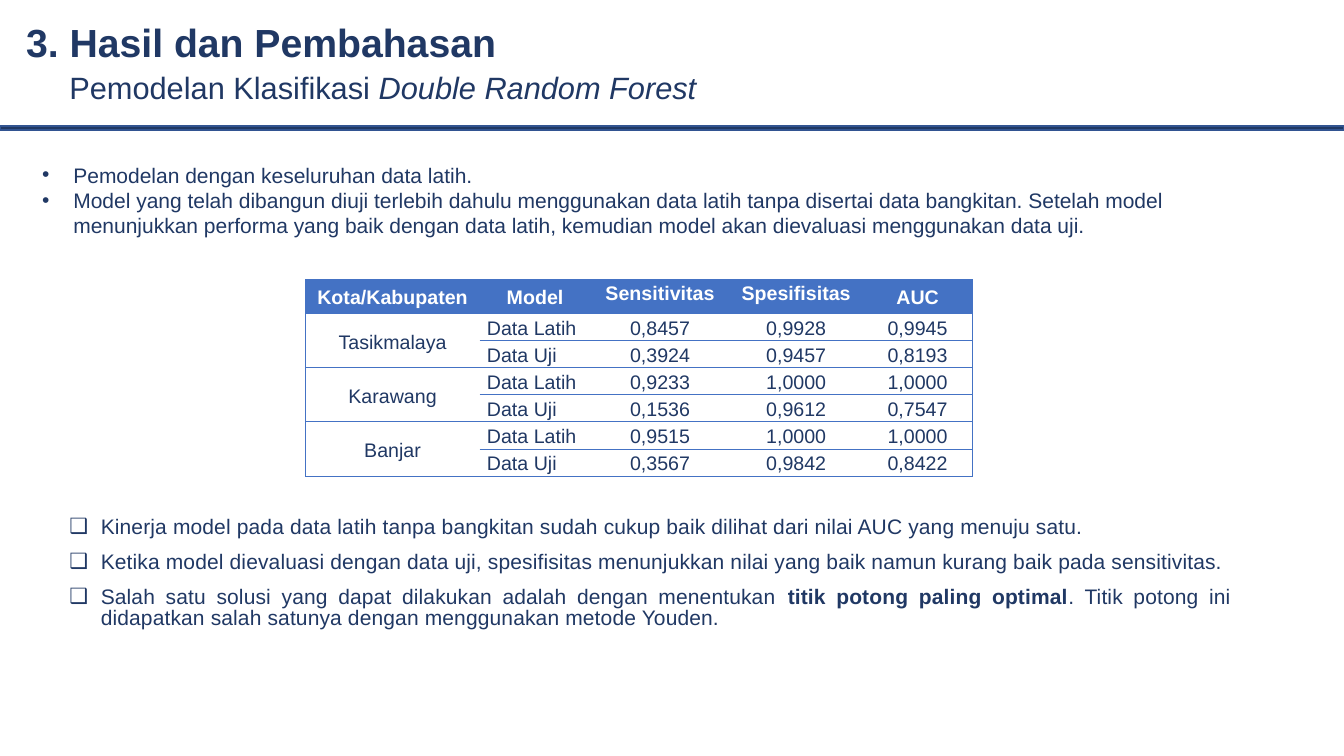
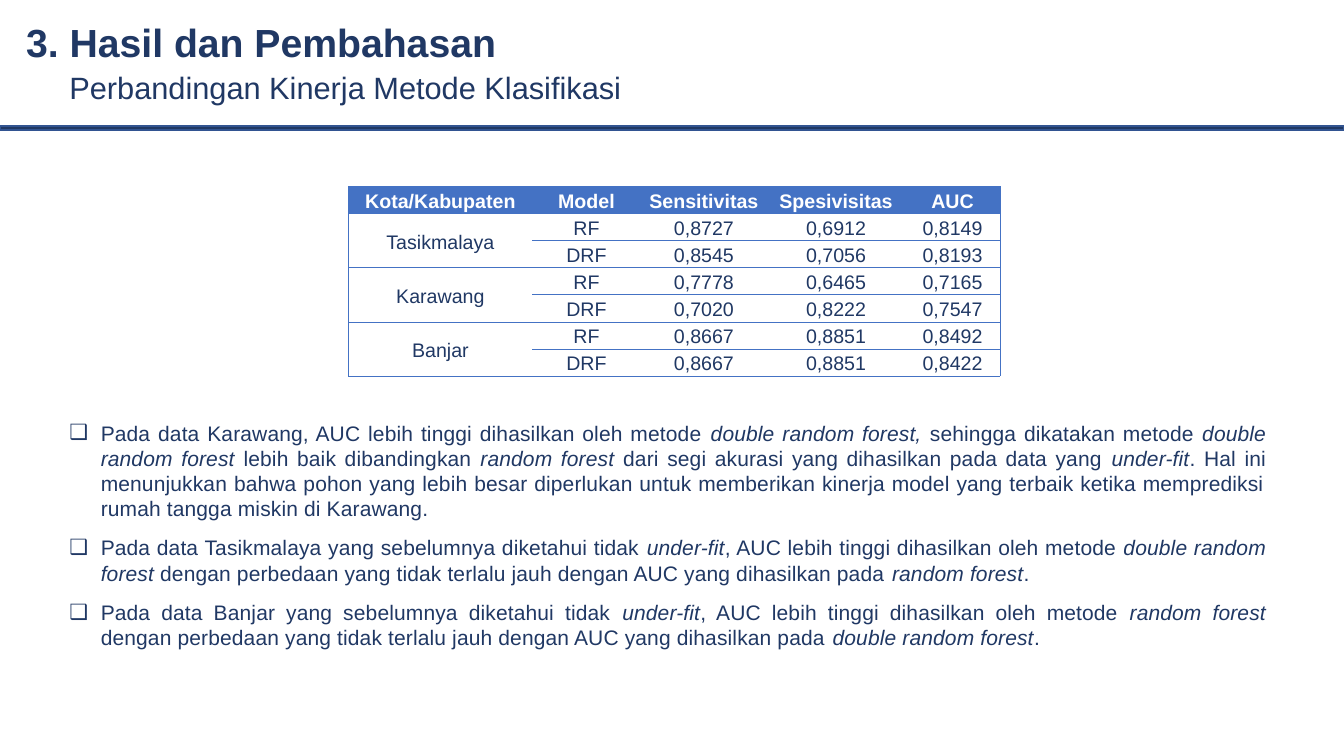
from lxml.etree import SubElement
from pptx import Presentation
from pptx.dml.color import RGBColor
from pptx.enum.shapes import MSO_SHAPE
from pptx.enum.text import MSO_ANCHOR, PP_ALIGN
from pptx.oxml.ns import qn
from pptx.util import Cm, Pt

COLORS = {"navy": "203864", "rule_edge": "325491", "table": "4472C4", "white": "FFFFFF"}
COLORS = {name: RGBColor.from_string(value) for name, value in COLORS.items()}
FONT = "Arial"
NO_GRID_STYLE = "{2D5ABB26-0587-4C30-8999-92F81FD0307C}"
HEADING = "3. Hasil dan Pembahasan"
ROW_HEIGHT = 0.68

# Box and table places are in centimetres; *...* marks emphasised words
SLIDES = [
    {
        "subtitle": "Pemodelan Klasifikasi *Double Random Forest*",
        "intro": [
            "Pemodelan dengan keseluruhan data latih.",
            "Model yang telah dibangun diuji terlebih dahulu menggunakan data latih tanpa disertai "
            "data bangkitan. Setelah model menunjukkan performa yang baik dengan data latih, "
            "kemudian model akan dievaluasi menggunakan data uji.",
        ],
        "table_at": (7.7, 7.04),
        "columns": [4.39, 2.79, 3.51, 3.35, 2.77],
        "header_height": 0.86,
        "header": ["Kota/Kabupaten", "Model", "Sensitivitas", "Spesifisitas", "AUC"],
        "top_headers": (2, 3),
        "model_align": PP_ALIGN.LEFT,
        "rows": [
            ["Tasikmalaya", "Data Latih", "0,8457", "0,9928", "0,9945"],
            ["", "Data Uji", "0,3924", "0,9457", "0,8193"],
            ["Karawang", "Data Latih", "0,9233", "1,0000", "1,0000"],
            ["", "Data Uji", "0,1536", "0,9612", "0,7547"],
            ["Banjar", "Data Latih", "0,9515", "1,0000", "1,0000"],
            ["", "Data Uji", "0,3567", "0,9842", "0,8422"],
        ],
        "findings_box": (1.5, 12.93, 29.77, 3.1),
        "findings_style": {"emphasis": "bold", "line_spacing": Pt(15)},
        "findings": [
            "Kinerja model pada data latih tanpa bangkitan sudah cukup baik dilihat dari nilai AUC "
            "yang menuju satu.",
            "Ketika model dievaluasi dengan data uji, spesifisitas menunjukkan nilai yang baik "
            "namun kurang baik pada sensitivitas.",
            "Salah satu solusi yang dapat dilakukan adalah dengan menentukan *titik potong paling "
            "optimal*. Titik potong ini didapatkan salah satunya dengan menggunakan metode Youden.",
        ],
    },
    {
        "subtitle": "Perbandingan Kinerja Metode Klasifikasi",
        "intro": [],
        "table_at": (8.79, 4.7),
        "columns": [4.62, 2.74, 3.18, 3.48, 2.39],
        "header_height": ROW_HEIGHT,
        "header": ["Kota/Kabupaten", "Model", "Sensitivitas", "Spesivisitas", "AUC"],
        "top_headers": (),
        "model_align": PP_ALIGN.CENTER,
        "rows": [
            ["Tasikmalaya", "RF", "0,8727", "0,6912", "0,8149"],
            ["", "DRF", "0,8545", "0,7056", "0,8193"],
            ["Karawang", "RF", "0,7778", "0,6465", "0,7165"],
            ["", "DRF", "0,7020", "0,8222", "0,7547"],
            ["Banjar", "RF", "0,8667", "0,8851", "0,8492"],
            ["", "DRF", "0,8667", "0,8851", "0,8422"],
        ],
        "findings_box": (1.5, 10.46, 30.66, 6.1),
        "findings_style": {},
        "findings": [
            "Pada data Karawang, AUC lebih tinggi dihasilkan oleh metode *double random forest, "
            "*sehingga dikatakan metode *double random forest *lebih baik dibandingkan *random "
            "forest *dari segi akurasi yang dihasilkan pada data yang *under-fit*. Hal ini "
            "menunjukkan bahwa pohon yang lebih besar diperlukan untuk memberikan kinerja model "
            "yang terbaik ketika memprediksi rumah tangga miskin di Karawang.",
            "Pada data Tasikmalaya yang sebelumnya diketahui tidak *under-fit*, AUC lebih tinggi "
            "dihasilkan oleh metode *double random forest *dengan perbedaan yang tidak terlalu "
            "jauh dengan AUC yang dihasilkan pada *random forest*.",
            "Pada data Banjar yang sebelumnya diketahui tidak *under-fit*, AUC lebih tinggi "
            "dihasilkan oleh metode *random forest *dengan perbedaan yang tidak terlalu jauh "
            "dengan AUC yang dihasilkan pada *double random forest*.",
        ],
    },
]


def add_text(slide, box, texts, size, bold=False, bullet=None, emphasis="italic",
             align=PP_ALIGN.LEFT, line_spacing=None, space_after=0, tracking=0):
    frame = slide.shapes.add_textbox(*map(Cm, box)).text_frame
    frame.word_wrap = True
    for index, text in enumerate(texts):
        paragraph = frame.add_paragraph() if index else frame.paragraphs[0]
        if bullet:
            properties = paragraph._p.get_or_add_pPr()
            properties.set("marL", str(Cm(0.79)))
            properties.set("indent", str(-Cm(0.79)))
            SubElement(properties, qn("a:buFont"), typeface=FONT)
            SubElement(properties, qn("a:buChar"), char=bullet)
        paragraph.alignment = align
        paragraph.line_spacing = line_spacing
        paragraph.space_after = Pt(space_after)
        style_font(paragraph.font, size, COLORS["navy"], bold)
        for position, part in enumerate(text.split("*")):
            if part:
                run = paragraph.add_run()
                run.text = part
                if tracking:
                    run.font._element.set("spc", str(tracking))
                if position % 2:
                    setattr(run.font, emphasis, True)
    return frame


def style_font(font, size, color, bold):
    font.name, font.size, font.bold = FONT, Pt(size), bold
    font.color.rgb = color


presentation = Presentation()
presentation.slide_width, presentation.slide_height = Cm(33.87), Cm(19.05)

for content in SLIDES:
    slide = presentation.slides.add_slide(presentation.slide_layouts[6])

    # Heading, rule and subtitle
    heading = add_text(slide, (0.41, 0.41, 12.73, 1.42), [HEADING], 28, bold=True,
                       line_spacing=0.9)
    heading.vertical_anchor = MSO_ANCHOR.MIDDLE
    rule = slide.shapes.add_shape(MSO_SHAPE.RECTANGLE, 0, Cm(3.18),
                                  presentation.slide_width, Cm(0.1))
    rule.shadow.inherit = False
    rule.fill.solid()
    rule.fill.fore_color.rgb = COLORS["navy"]
    rule.line.color.rgb = COLORS["rule_edge"]
    rule.line.width = Pt(1)
    add_text(slide, (1.5, 1.6, 18, 1.19), [content["subtitle"]], 22)

    # Introduction
    if content["intro"]:
        add_text(slide, (0.81, 3.96, 32, 2.18), content["intro"], 15, bullet="•")

    # Table
    rows = [content["header"]] + content["rows"]
    columns = content["columns"]
    heights = [content["header_height"]] + [ROW_HEIGHT] * len(content["rows"])
    left, top = content["table_at"]
    table = slide.shapes.add_table(len(rows), len(columns), Cm(left), Cm(top),
                                   Cm(sum(columns)), Cm(sum(heights))).table
    table.horz_banding = False
    table._tbl.tblPr.find(qn("a:tableStyleId")).text = NO_GRID_STYLE
    for column, width in zip(table.columns, columns):
        column.width = Cm(width)
    for row, height in zip(table.rows, heights):
        row.height = Cm(height)

    for row_index, values in enumerate(rows):
        is_header = row_index == 0
        for column_index, value in enumerate(values):
            cell = table.cell(row_index, column_index)
            cell.margin_left = cell.margin_right = Cm(0.18)
            cell.margin_top = cell.margin_bottom = 0
            at_top = is_header and column_index in content["top_headers"]
            cell.vertical_anchor = MSO_ANCHOR.TOP if at_top else MSO_ANCHOR.MIDDLE

            # Cell borders come before the fill
            edges = {"lnL": column_index == 0, "lnR": column_index == len(columns) - 1,
                     "lnT": is_header, "lnB": True}
            for edge, visible in edges.items():
                if visible:
                    line = SubElement(cell._tc.get_or_add_tcPr(), qn(f"a:{edge}"),
                                      w=str(Pt(0.5)))
                    fill = SubElement(line, qn("a:solidFill"))
                    SubElement(fill, qn("a:srgbClr"), val=str(COLORS["table"]))
            if is_header:
                cell.fill.solid()
                cell.fill.fore_color.rgb = COLORS["table"]
            else:
                cell.fill.background()

            paragraph = cell.text_frame.paragraphs[0]
            paragraph.text = value
            paragraph.line_spacing = 1.15
            is_model = column_index == 1 and not is_header
            paragraph.alignment = content["model_align"] if is_model else PP_ALIGN.CENTER
            style_font(paragraph.font, 14, COLORS["white" if is_header else "navy"], is_header)

    # Each region spans two rows
    for row_index in range(1, len(rows), 2):
        table.cell(row_index, 0).merge(table.cell(row_index + 1, 0))

    # Findings
    add_text(slide, content["findings_box"], content["findings"], 15, bullet="❑",
             align=PP_ALIGN.JUSTIFY, space_after=10, tracking=10, **content["findings_style"])

presentation.save("out.pptx")
